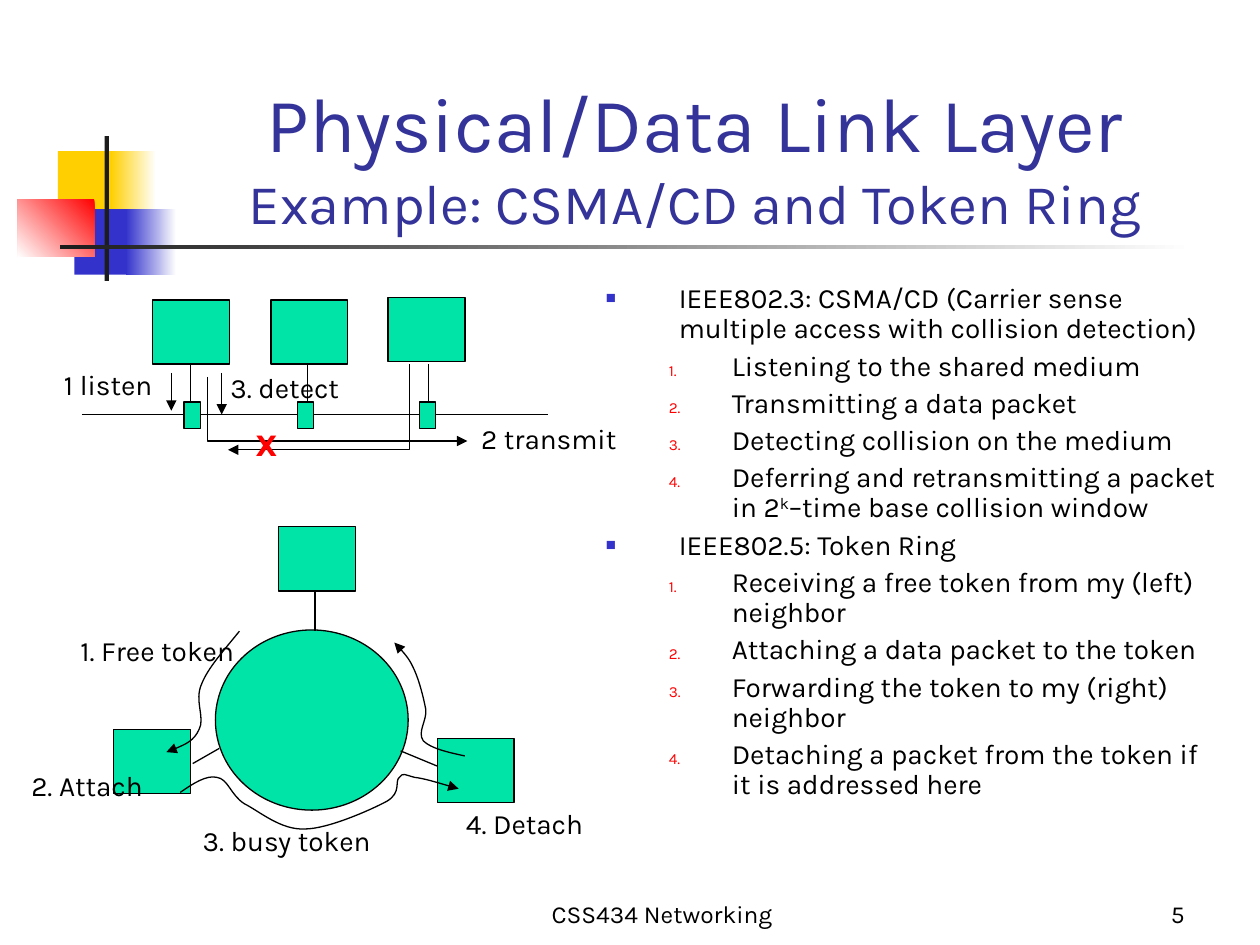
from dataclasses import dataclass
from typing import Any

from lxml.etree import SubElement
from pptx import Presentation
from pptx.dml.color import RGBColor
from pptx.enum.shapes import MSO_CONNECTOR, MSO_SHAPE
from pptx.enum.text import MSO_ANCHOR, MSO_AUTO_SIZE, PP_ALIGN
from pptx.oxml.ns import qn
from pptx.util import Emu, Inches, Pt

FONT = "Karla"
BLACK, RED, WHITE, GREEN = "000000", "FF0000", "FFFFFF", "00E4A8"
YELLOW, BLUE, NAVY, DARK = "FFCF01", "3333CC", "333399", "1C1C1C"
COLUMNS, ROWS = 100, 75
UNIT = Inches(10) // COLUMNS
NODE = (6.1, 5.1)


def color(value):
    return RGBColor.from_string(value)


def add_span(para, text, size=16, shade=BLACK, bold=False):
    span = para.add_run()
    span.text = text
    span.font.name = FONT
    span.font.size = Pt(size)
    span.font.bold = bold
    span.font.color.rgb = color(shade)
    return span


def style_line(line, arrow=False):
    line.color.rgb = color(BLACK)
    line.width = Pt(0.75)
    if arrow:
        SubElement(line._get_or_add_ln(), qn("a:tailEnd"), type="triangle")


@dataclass
class Region:
    page: Any
    left: float
    top: float
    width: float
    height: float

    def point(self, x, y):
        return Emu(round((self.left + x) * UNIT)), Emu(round((self.top + y) * UNIT))

    def frame(self, x, y, width, height):
        return *self.point(x, y), Emu(round(width * UNIT)), Emu(round(height * UNIT))

    def shape(self, x, y, width, height, fill, kind=MSO_SHAPE.RECTANGLE, outlined=True):
        box = self.page.shapes.add_shape(kind, *self.frame(x, y, width, height))
        box.shadow.inherit = False
        box.fill.solid()
        box.fill.fore_color.rgb = color(fill)
        if outlined:
            style_line(box.line)
        else:
            box.line.fill.background()
        return box

    def fade(self, x, y, width, height, start, end, angle=180):
        box = self.shape(x, y, width, height, start, outlined=False)
        box.fill.gradient()
        box.fill.gradient_angle = angle
        for stop, shade in zip(box.fill.gradient_stops, (start, end)):
            stop.color.rgb = color(shade)

    def line(self, x1, y1, x2, y2, arrow=False):
        line = self.page.shapes.add_connector(
            MSO_CONNECTOR.STRAIGHT, *self.point(x1, y1), *self.point(x2, y2))
        style_line(line.line, arrow)
        SubElement(line._element.spPr, qn("a:effectLst"))

    def route(self, points, curved=False):
        start, *rest = [self.point(x, y) for x, y in points]
        builder = self.page.shapes.build_freeform(*start, scale=1.0)
        builder.add_line_segments(rest, close=False)
        route = builder.convert_to_shape()
        route.shadow.inherit = False
        route.fill.background()
        style_line(route.line, arrow=True)
        if curved:
            outline = next(route._element.iter(qn("a:path")))
            steps = outline.findall(qn("a:lnTo"))
            for first in range(0, len(steps), 3):
                curve = SubElement(outline, qn("a:cubicBezTo"))
                for step in steps[first:first + 3]:
                    curve.append(step[0])
                    outline.remove(step)

    def text_box(self, x, y, width, height, wrap=True):
        box = self.page.shapes.add_textbox(*self.frame(x, y, width, height))
        box.text_frame.word_wrap = wrap
        return box.text_frame

    def label(self, x, y, width, text, shade=BLACK, bold=False):
        frame = self.text_box(x, y, width, 3.7, wrap=False)
        frame.auto_size = MSO_AUTO_SIZE.SHAPE_TO_FIT_TEXT
        add_span(frame.paragraphs[0], text, shade=shade, bold=bold)


def draw_emblem(region):
    region.shape(3.6, 2, 4.8, 5.2, YELLOW, outlined=False)
    region.fade(7.8, 2, 3.6, 5.2, WHITE, YELLOW)
    region.shape(4.9, 6.6, 4.6, 5.2, BLUE, outlined=False)
    region.fade(9, 6.6, 4, 5.2, WHITE, BLUE)
    region.fade(0.4, 5.8, 6.1, 4.6, RED, WHITE, angle=225)
    region.shape(7.3, 0.8, 0.35, 11.5, DARK, outlined=False)
    region.fade(3.8, 9.45, 90, 0.35, WHITE, DARK)


def write_title(region):
    title = region.page.shapes.title
    title.left, title.top, title.width, title.height = region.frame(
        0, 0, region.width, region.height)
    frame = title.text_frame
    frame.auto_size = MSO_AUTO_SIZE.NONE
    frame.vertical_anchor = MSO_ANCHOR.BOTTOM
    para = frame.paragraphs[0]
    para.alignment = PP_ALIGN.CENTER
    add_span(para, "Physical/Data Link Layer", 44, NAVY)
    para.add_line_break()
    add_span(para, "Example: CSMA/CD and Token Ring", 32, NAVY)


def add_item(para, spans, numbered):
    para.level = int(numbered)
    para.line_spacing = 0.9
    para.space_before = Pt(4)
    for text, raised in spans:
        span = add_span(para, text)
        if raised:
            span.font._element.set("baseline", "30000")
    margin, indent, shade, size = (1, 0.5, RED, 55) if numbered else (0.58, 0.58, BLUE, 60)
    props = para._p.get_or_add_pPr()
    props.set("marL", str(Inches(margin)))
    props.set("indent", str(-Inches(indent)))
    SubElement(SubElement(props, qn("a:buClr")), qn("a:srgbClr"), val=shade)
    SubElement(props, qn("a:buSzPct"), val=str(size * 1000))
    if numbered:
        SubElement(props, qn("a:buFont"), typeface=FONT)
        SubElement(props, qn("a:buAutoNum"), type="arabicPeriod")
    else:
        SubElement(props, qn("a:buFont"), typeface="Arial")
        SubElement(props, qn("a:buChar"), char="■")


def write_outline(region):
    outline = {
        "IEEE802.3: CSMA/CD (Carrier sense multiple access with collision detection)": [
            [("Listening to the shared medium", False)],
            [("Transmitting a data packet", False)],
            [("Detecting collision on the medium", False)],
            [("Deferring and retransmitting a packet in 2", False), ("k", True),
             ("–time base collision window", False)],
        ],
        "IEEE802.5: Token Ring": [
            [("Receiving a free token from my (left) neighbor", False)],
            [("Attaching a data packet to the token", False)],
            [("Forwarding the token to my (right) neighbor", False)],
            [("Detaching a packet from the token if it is addressed here", False)],
        ],
    }
    frame = region.text_box(0, 0, region.width, region.height)
    items = []
    for heading, steps in outline.items():
        items.append(([(heading, False)], False))
        items += [(spans, True) for spans in steps]
    for index, (spans, numbered) in enumerate(items):
        para = frame.add_paragraph() if index else frame.paragraphs[0]
        add_item(para, spans, numbered)


def draw_bus(region):
    region.line(2.5, 9.9, 39.5, 9.9)
    stations = [(8.1, 0.8, 10.6, 11.1), (17.5, 0.8, 19.6, 20.4), (26.8, 0.6, 29.3, 30)]
    for node_x, node_y, tap_x, wire_x in stations:
        region.shape(node_x, node_y, *NODE, GREEN)
        region.shape(tap_x, 8.9, 1.3, 2.1, GREEN)
        region.line(wire_x, 5.9, wire_x, 8.9)
    region.line(9.6, 6.6, 9.6, 9.6, arrow=True)
    region.line(13.6, 6.6, 13.6, 9.9, arrow=True)
    region.route([(12.5, 6.9), (12.5, 12), (33.1, 12)])
    region.route([(28.5, 5.9), (28.5, 12.7), (14.1, 12.7)])
    region.label(0.1, 5.7, 9.6, "1 listen")
    region.label(33.2, 10, 12.9, "2 transmit")
    region.label(13.3, 5.9, 10.7, "3. detect")
    region.label(15.3, 10.5, 3.7, "Ⅹ", RED, bold=True)


def draw_ring(region):
    for x, y in [(21.1, 0.8), (33.7, 17.6), (8, 16.9)]:
        region.shape(x, y, *NODE, GREEN)
    region.shape(16.1, 9, 15.3, 14.3, GREEN, MSO_SHAPE.OVAL)
    for ends in [(24, 5.9, 24, 9.1), (14.3, 19.6, 16.4, 18.4), (30.8, 18.6, 33.7, 19.8)]:
        region.line(*ends)
    free_token = [(18, 9.1), (16.8, 10.6), (15.5, 12), (15, 13.3), (14.4, 14.6),
                  (15.3, 16), (14.8, 16.9), (14.4, 17.8), (13.3, 18.3), (12.2, 18.7)]
    busy_token = [(13.3, 21.9), (14.3, 21.2), (15.4, 20.5), (16.2, 20.7), (17.1, 20.8),
                  (17.3, 22.1), (18.4, 22.8), (19.6, 23.4), (21.3, 24.9), (23.2, 24.8),
                  (25, 24.8), (28.4, 23.3), (29.7, 22.6), (30.9, 21.9), (30.3, 21),
                  (30.7, 20.7), (31, 20.3), (31.1, 20.5), (31.9, 20.7), (32.7, 20.8),
                  (34, 21.2), (35.4, 21.6)]
    released_token = [(35.9, 19), (34.5, 18.7), (33.2, 18.4), (32.6, 17.8), (32.1, 17.1),
                      (32.9, 16.2), (32.8, 15.3), (32.6, 14.3), (32.3, 13.1), (31.9, 12.2),
                      (31.5, 11.3), (30.9, 10.6), (30.3, 10)]
    for token in (free_token, busy_token, released_token):
        region.route(token, curved=True)
    region.label(4.4, 8.8, 15.6, "1. Free token")
    region.label(14.1, 23.9, 15.9, "3. busy token")
    region.label(0.5, 19.5, 11.2, "2. Attach")
    region.label(35, 22.5, 11.7, "4. Detach")


def write_footer(region):
    entries = [(0, 31.7, "CSS434 Networking", PP_ALIGN.CENTER), (37.5, 20.8, "5", PP_ALIGN.RIGHT)]
    for x, width, text, alignment in entries:
        frame = region.text_box(x, 0, width, region.height)
        frame.vertical_anchor = MSO_ANCHOR.BOTTOM
        frame.paragraphs[0].alignment = alignment
        add_span(frame.paragraphs[0], text, 14)


def main():
    deck = Presentation()
    deck.slide_width, deck.slide_height = COLUMNS * UNIT, ROWS * UNIT
    page = deck.slides.add_slide(deck.slide_layouts[5])
    draw_emblem(Region(page, 1, 10, 94, 12.5))
    write_title(Region(page, 12.6, 6.7, 85.2, 12.5))
    write_outline(Region(page, 47.1, 22.1, 50.8, 45))
    draw_bus(Region(page, 4, 23, 46, 15))
    draw_ring(Region(page, 1, 41, 47, 28))
    write_footer(Region(page, 36.7, 69.2, 58.3, 5))
    deck.save("out.pptx")


if __name__ == "__main__":
    main()
